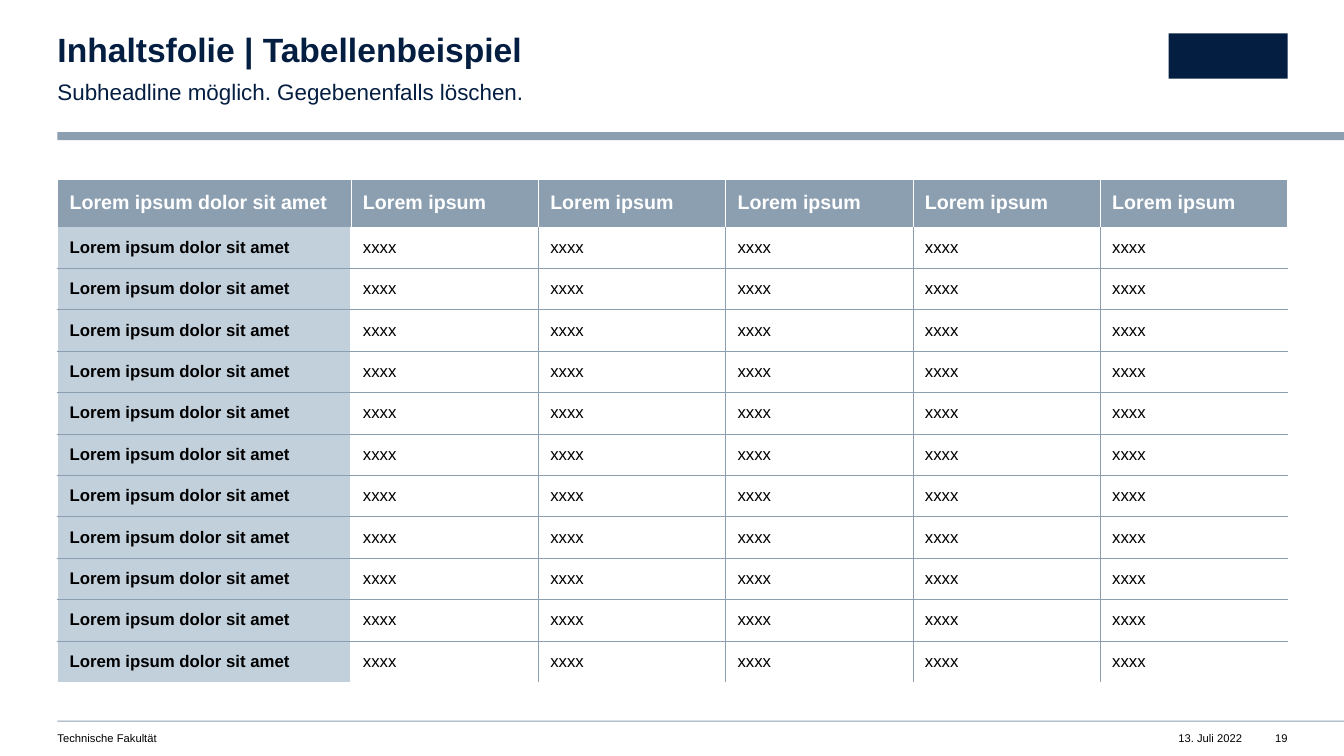
from lxml.etree import SubElement
from pptx import Presentation
from pptx.dml.color import RGBColor
from pptx.enum.shapes import MSO_SHAPE
from pptx.enum.text import MSO_ANCHOR, PP_ALIGN
from pptx.oxml.ns import qn
from pptx.util import Inches, Pt

HUES = {"navy": "041E42", "steel": "8C9FB1", "pale": "C2D0DC", "white": "FFFFFF", "black": "000000"}
LEFT, WIDE = 0.57, 12.2
HEAD, LABEL, ROWS, COLS = 0.47, 2.91, 12, 6


def write(frame, text, size, hue, bold=False, align=PP_ALIGN.LEFT):
    par = frame.paragraphs[0]
    par.alignment = align
    run = par.add_run()
    run.text = text
    run.font.name = "Arial"
    run.font.size = Pt(size)
    run.font.bold = bold
    run.font.color.rgb = RGBColor.from_string(HUES[hue])
    return par


def edge(cell, side, hue, width):
    line = SubElement(cell._tc.get_or_add_tcPr(), qn(f"a:ln{side}"), w=str(Pt(width)))
    fill = SubElement(line, qn("a:solidFill"))
    SubElement(fill, qn("a:srgbClr"), val=HUES[hue])


prs = Presentation()
prs.slide_width, prs.slide_height = Inches(13.33), Inches(7.5)
slide = prs.slides.add_slide(prs.slide_layouts[5])

for left, top, width, height, hue in [
    (LEFT, 1.31, 12.76, 0.08, "steel"),
    (LEFT, 7.15, 12.76, 0.01, "steel"),
    (11.59, 0.33, 1.18, 0.45, "navy"),
]:
    bar = slide.shapes.add_shape(
        MSO_SHAPE.RECTANGLE, Inches(left), Inches(top), Inches(width), Inches(height))
    bar.shadow.inherit = False
    bar.fill.solid()
    bar.fill.fore_color.rgb = RGBColor.from_string(HUES[hue])
    bar.line.fill.background()

title = slide.shapes.title
title.left, title.top = Inches(LEFT), Inches(0.33)
title.width, title.height = Inches(7.49), Inches(0.36)
frame = title.text_frame
frame.margin_left = frame.margin_right = frame.margin_top = frame.margin_bottom = 0
frame.vertical_anchor = MSO_ANCHOR.TOP
write(frame, "Inhaltsfolie | Tabellenbeispiel", 24, "navy", True).line_spacing = 0.9

for text, left, top, width, height, size, hue, align, space in [
    ("Subheadline möglich. Gegebenenfalls löschen.", LEFT, 0.75, 7.49, 0.27, 16, "navy", PP_ALIGN.LEFT, 1.1),
    ("Technische Fakultät", LEFT, 7.26, 5.98, 0.13, 8, "black", PP_ALIGN.LEFT, 1.0),
    ("13. Juli 2022", 11.39, 7.26, 0.93, 0.13, 8, "black", PP_ALIGN.RIGHT, 1.0),
    ("19", 12.56, 7.26, 0.21, 0.13, 8, "black", PP_ALIGN.RIGHT, 1.0),
]:
    box = slide.shapes.add_textbox(Inches(left), Inches(top), Inches(width), Inches(height))
    frame = box.text_frame
    frame.word_wrap = True
    frame.margin_left = frame.margin_right = frame.margin_top = frame.margin_bottom = 0
    write(frame, text, size, hue, align=align).line_spacing = space

table = slide.shapes.add_table(
    ROWS, COLS, Inches(LEFT), Inches(1.78), Inches(WIDE), Inches(4.99)).table
table.horz_banding = False
table._tbl.tblPr.find(qn("a:tableStyleId")).text = "{2D5ABB26-0587-4C30-8999-92F81FD0307C}"
for col in range(COLS):
    table.columns[col].width = Inches(LABEL if col == 0 else (WIDE - LABEL) / (COLS - 1))

for row in range(ROWS):
    table.rows[row].height = Inches(HEAD if row == 0 else (4.99 - HEAD) / (ROWS - 1))
    for col in range(COLS):
        cell = table.cell(row, col)
        cell.margin_left = cell.margin_right = Inches(0.12)
        cell.margin_top = cell.margin_bottom = Inches(0.04)
        cell.vertical_anchor = MSO_ANCHOR.MIDDLE

        inner = ("white", 0.5) if row == 0 else ("steel", 0.25)
        outer = ("white", 1)
        first = col == 0 or (row > 0 and col == 1)
        last = col == COLS - 1 or (row > 0 and col == 0)
        edge(cell, "L", *(outer if first else inner))
        edge(cell, "R", *(outer if last else inner))
        if row != 1:
            edge(cell, "T", *(outer if row == 0 else inner))
        if 0 < row < ROWS - 1:
            edge(cell, "B", *inner)

        if row == 0 or col == 0:
            cell.fill.solid()
            cell.fill.fore_color.rgb = RGBColor.from_string(HUES["steel" if row == 0 else "pale"])
        else:
            cell.fill.background()

        if col == 0:
            text = "Lorem ipsum dolor sit amet"
        else:
            text = "Lorem ipsum" if row == 0 else "xxxx"
        size, hue = (14, "white") if row == 0 else (12, "black")
        write(cell.text_frame, text, size, hue, row == 0 or col == 0)

prs.save("out.pptx")
